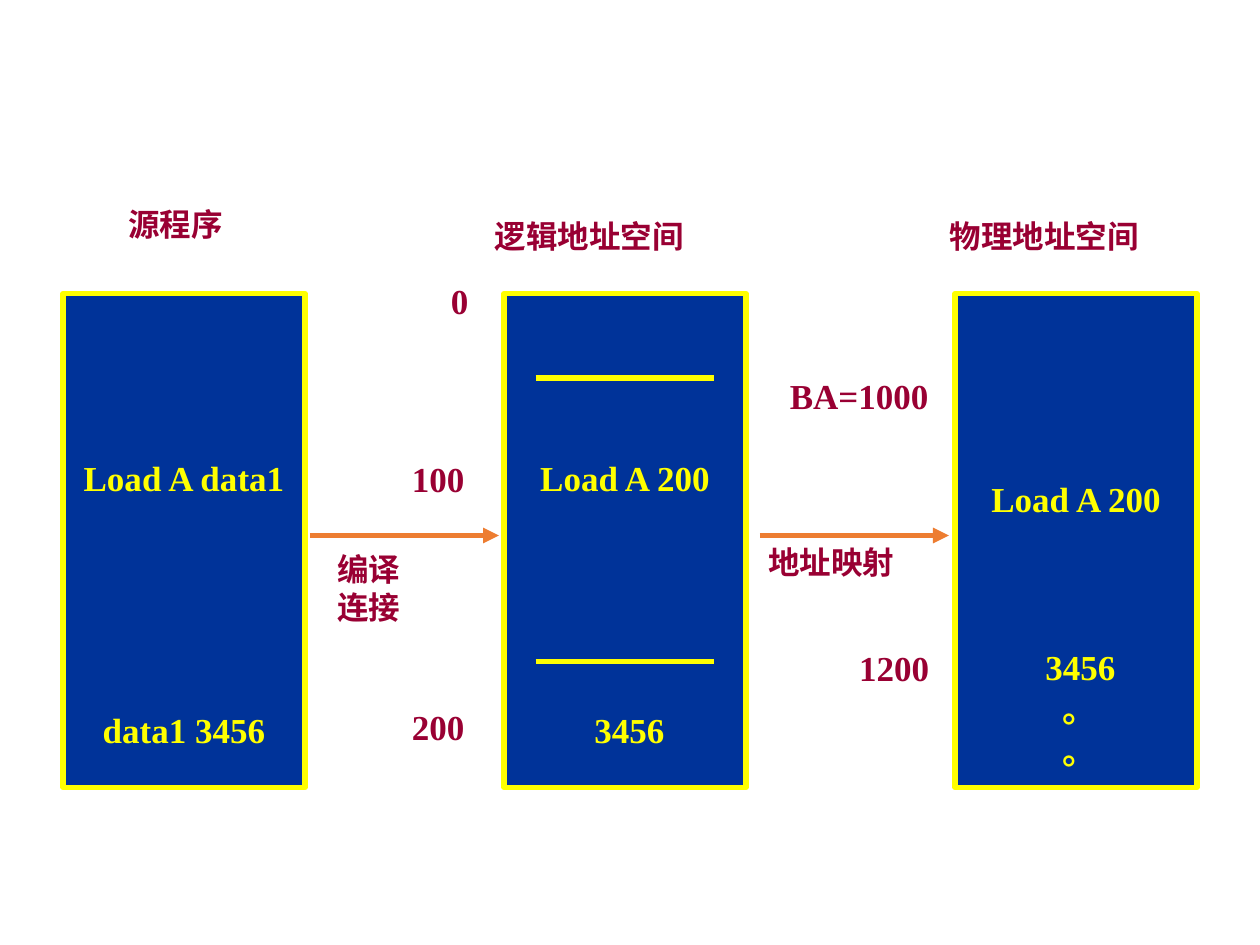
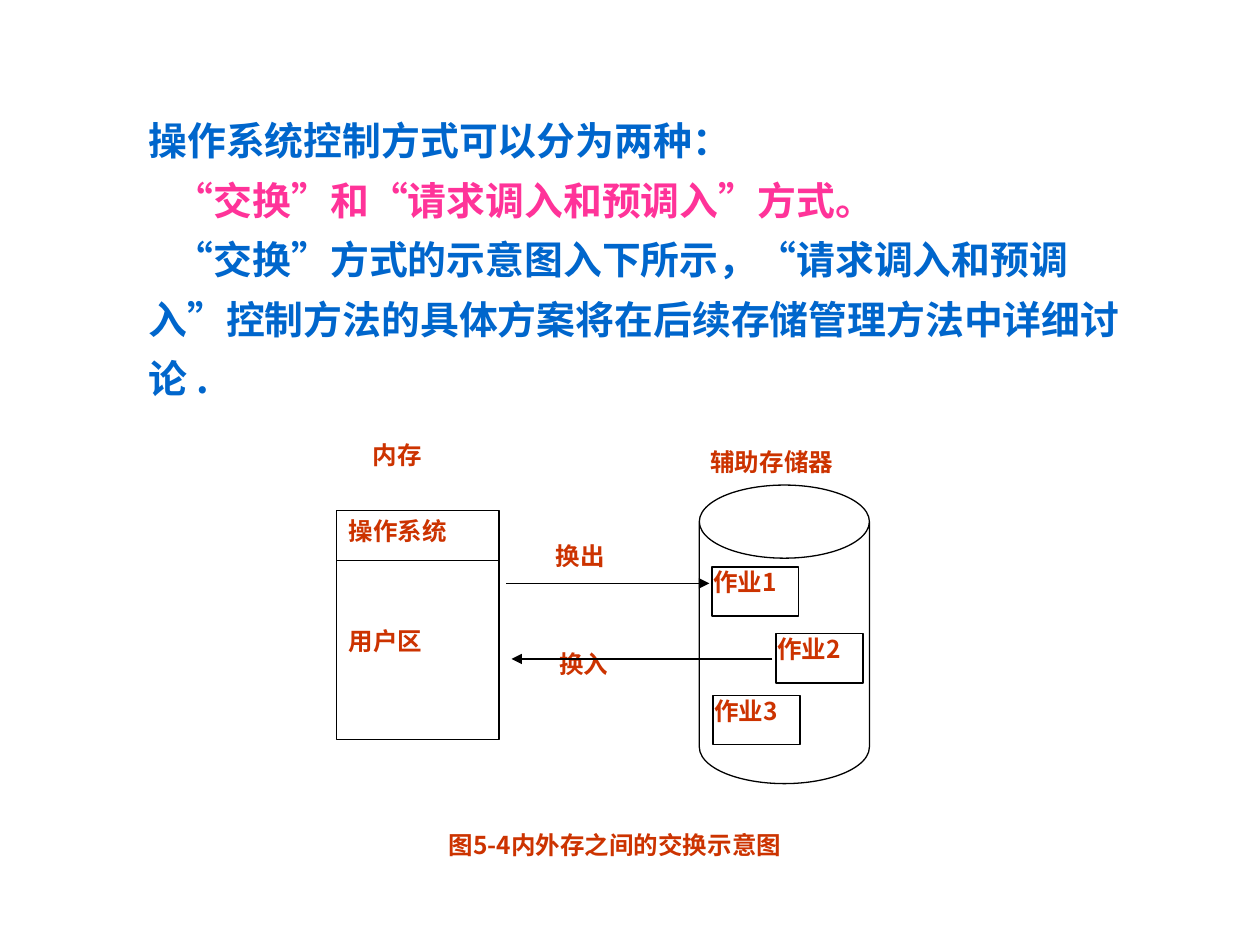
from typing import NamedTuple

import pptx
import pptx.dml.color
import pptx.enum.shapes
import pptx.enum.text
import pptx.oxml
import pptx.oxml.ns
import pptx.util

RGBColor = pptx.dml.color.RGBColor
NAVY = RGBColor(0x00, 0x33, 0x99)
YELLOW = RGBColor(0xFF, 0xFF, 0x00)
WINE = RGBColor(0x99, 0x00, 0x33)
ORANGE = RGBColor(0xED, 0x7D, 0x31)
BLUE = RGBColor(0x00, 0x66, 0xCC)
PINK = RGBColor(0xFF, 0x33, 0x99)
RUST = RGBColor(0xCC, 0x33, 0x00)
BLACK = RGBColor(0, 0, 0)

SCALE = 9144
SERIF = "Times New Roman"
SANS = "Noto Sans CJK SC"
SHAPE = pptx.enum.shapes.MSO_SHAPE
CENTER = pptx.enum.text.PP_ALIGN.CENTER
LEFT = pptx.enum.text.PP_ALIGN.LEFT


class Box(NamedTuple):
    left: int
    top: int
    width: int
    height: int


class Inset(NamedTuple):
    left: int = 10
    top: int = 5
    right: int = 0
    bottom: int = 0


class Pen(NamedTuple):
    size: float
    color: RGBColor
    font: str


class Line(NamedTuple):
    text: str
    pen: Pen
    gap: int = 0
    shift: int = 0
    space: float = 1.0


class Label(NamedTuple):
    text: str
    box: Box
    pen: Pen
    inset: Inset = Inset()


class Panel(NamedTuple):
    left: int
    top: int
    lines: list[Line]


class Stroke(NamedTuple):
    start: tuple[int, int]
    end: tuple[int, int]
    color: RGBColor
    weight: float
    arrow: bool = True


HEAD = Pen(18, WINE, SERIF)
MARK = Pen(20, WINE, SERIF)
CODE = Pen(20, YELLOW, SERIF)
NOTE = Pen(14, RUST, SANS)
LEAD = Pen(22.2, BLUE, SANS)
KEY = Pen(22.2, PINK, SANS)
TIGHT = Inset(1, 0, 1, 0)


def px(value: int) -> pptx.util.Emu:
    return pptx.util.Emu(value * SCALE)


def write(shape, lines: list[Line], inset: Inset = Inset(), align=LEFT) -> None:
    frame = shape.text_frame
    frame.word_wrap = True
    frame.vertical_anchor = pptx.enum.text.MSO_ANCHOR.TOP
    frame.margin_left, frame.margin_top = px(inset.left), px(inset.top)
    frame.margin_right, frame.margin_bottom = px(inset.right), px(inset.bottom)
    for index, line in enumerate(lines):
        para = frame.add_paragraph() if index else frame.paragraphs[0]
        para.alignment = align
        if line.space != 1:
            para.line_spacing = line.space
        if line.gap:
            para.space_before = pptx.util.Pt(line.gap)
        if line.shift:
            para._p.get_or_add_pPr().set("marL", str(px(line.shift)))
        run = para.add_run()
        run.text = line.text
        run.font.size = pptx.util.Pt(line.pen.size)
        run.font.bold = True
        run.font.color.rgb = line.pen.color
        run.font.name = line.pen.font
        east = pptx.oxml.parse_xml(
            f'<a:ea {pptx.oxml.ns.nsdecls("a")} typeface="{SANS}"/>')
        run._r.get_or_add_rPr().append(east)


def put_text(slide, label: Label) -> None:
    shape = slide.shapes.add_textbox(*map(px, label.box))
    lines = [Line(text, label.pen) for text in label.text.split("\n")]
    write(shape, lines, label.inset)


def put_shape(slide, kind, box: Box, color: RGBColor, weight: float, fill=None):
    shape = slide.shapes.add_shape(kind, *map(px, box))
    shape.shadow.inherit = False
    if fill is None:
        shape.fill.background()
    else:
        shape.fill.solid()
        shape.fill.fore_color.rgb = fill
    shape.line.color.rgb = color
    shape.line.width = pptx.util.Pt(weight)
    return shape


def put_cell(slide, cell: Label) -> None:
    shape = put_shape(slide, SHAPE.RECTANGLE, cell.box, BLACK, 0.75)
    write(shape, [Line(cell.text, cell.pen)], cell.inset)


def put_line(slide, stroke: Stroke) -> None:
    kind = pptx.enum.shapes.MSO_CONNECTOR.STRAIGHT
    line = slide.shapes.add_connector(kind, *map(px, stroke.start + stroke.end))
    line.line.color.rgb = stroke.color
    line.line.width = pptx.util.Pt(stroke.weight)
    names = pptx.oxml.ns.nsdecls("a")
    if stroke.arrow:
        tip = pptx.oxml.parse_xml(f'<a:tailEnd {names} type="triangle"/>')
        line.line._get_or_add_ln().append(tip)
    line._element.spPr.append(pptx.oxml.parse_xml(f"<a:effectLst {names}/>"))


def draw_map(slide) -> None:
    panels = [
        Panel(758, 146, [Line("Load A 200", CODE), Line("3456", CODE, 72, 7),
                         Line("。", CODE, 0, 7), Line("。", CODE, 0, 7)]),
        Panel(50, 129, [Line("Load A data1", CODE), Line("data1 3456", CODE, 120)]),
        Panel(400, 129, [Line("Load A 200", CODE), Line("3456", CODE, 120, 7)]),
    ]
    for panel in panels:
        box = Box(panel.left, 233, 192, 392)
        shape = put_shape(slide, SHAPE.RECTANGLE, box, YELLOW, 3, NAVY)
        write(shape, panel.lines, Inset(0, panel.top), CENTER)
    labels = [
        Label("源程序", Box(92, 158, 121, 50), HEAD),
        Label("逻辑地址空间", Box(383, 167, 221, 50), HEAD),
        Label("物理地址空间", Box(744, 167, 221, 50), HEAD),
        Label("编译\n连接", Box(258, 432, 132, 90), HEAD),
        Label("地址映射", Box(600, 426, 154, 50), HEAD),
        Label("0", Box(348, 217, 34, 43), MARK),
        Label("100", Box(317, 358, 62, 43), MARK),
        Label("200", Box(317, 555, 62, 43), MARK),
        Label("BA=1000", Box(617, 292, 130, 43), MARK),
        Label("1200", Box(672, 508, 76, 43), MARK),
    ]
    for label in labels:
        put_text(slide, label)
    for left in (246, 603):
        put_line(slide, Stroke((left, 425), (left + 150, 425), ORANGE, 3))
    for top in (300, 525):
        put_line(slide, Stroke((425, top), (567, top), YELLOW, 3, False))


def draw_swap(slide) -> None:
    body = slide.shapes.add_textbox(*map(px, Box(108, 92, 850, 242)))
    write(body, [
        Line("操作系统控制方式可以分为两种：", LEAD, 0, 0, 0.9),
        Line("“交换”和“请求调入和预调入”方式。", KEY, 10, 21, 0.9),
        Line("“交换”方式的示意图入下所示，“请求调入和预调", LEAD, 10, 21, 0.9),
        Line("入”控制方法的具体方案将在后续存储管理方法中详细讨", LEAD, 10, 0, 0.9),
        Line("论 .", LEAD, 10, 0, 0.9),
    ])
    disk = put_shape(slide, SHAPE.CAN, Box(555, 385, 135, 237), BLACK, 0.75)
    disk.adjustments[0] = 0.43
    cells = [
        Label("作业1", Box(565, 450, 69, 39), NOTE, TIGHT),
        Label("作业2", Box(616, 503, 69, 39), NOTE, TIGHT),
        Label("作业3", Box(566, 552, 69, 39), NOTE, TIGHT),
        Label("操作系统", Box(267, 405, 129, 40), NOTE),
        Label("用户区", Box(267, 445, 129, 142), NOTE, Inset(10, 52)),
    ]
    for cell in cells:
        put_cell(slide, cell)
    labels = [
        Label("内存", Box(286, 344, 144, 36), NOTE),
        Label("辅助存储器", Box(554, 350, 144, 36), NOTE),
        Label("换出", Box(440, 429, 69, 39), NOTE, TIGHT),
        Label("换入", Box(443, 515, 69, 39), NOTE, TIGHT),
        Label("图5-4内外存之间的交换示意图", Box(355, 659, 493, 39), NOTE, TIGHT),
    ]
    for label in labels:
        put_text(slide, label)
    put_line(slide, Stroke((402, 463), (563, 463), BLACK, 0.75))
    put_line(slide, Stroke((613, 523), (406, 523), BLACK, 0.75))


def main() -> None:
    deck = pptx.Presentation()
    deck.slide_width, deck.slide_height = px(1000), px(750)
    for draw in (draw_map, draw_swap):
        draw(deck.slides.add_slide(deck.slide_layouts[6]))
    deck.save("out.pptx")


if __name__ == "__main__":
    main()
